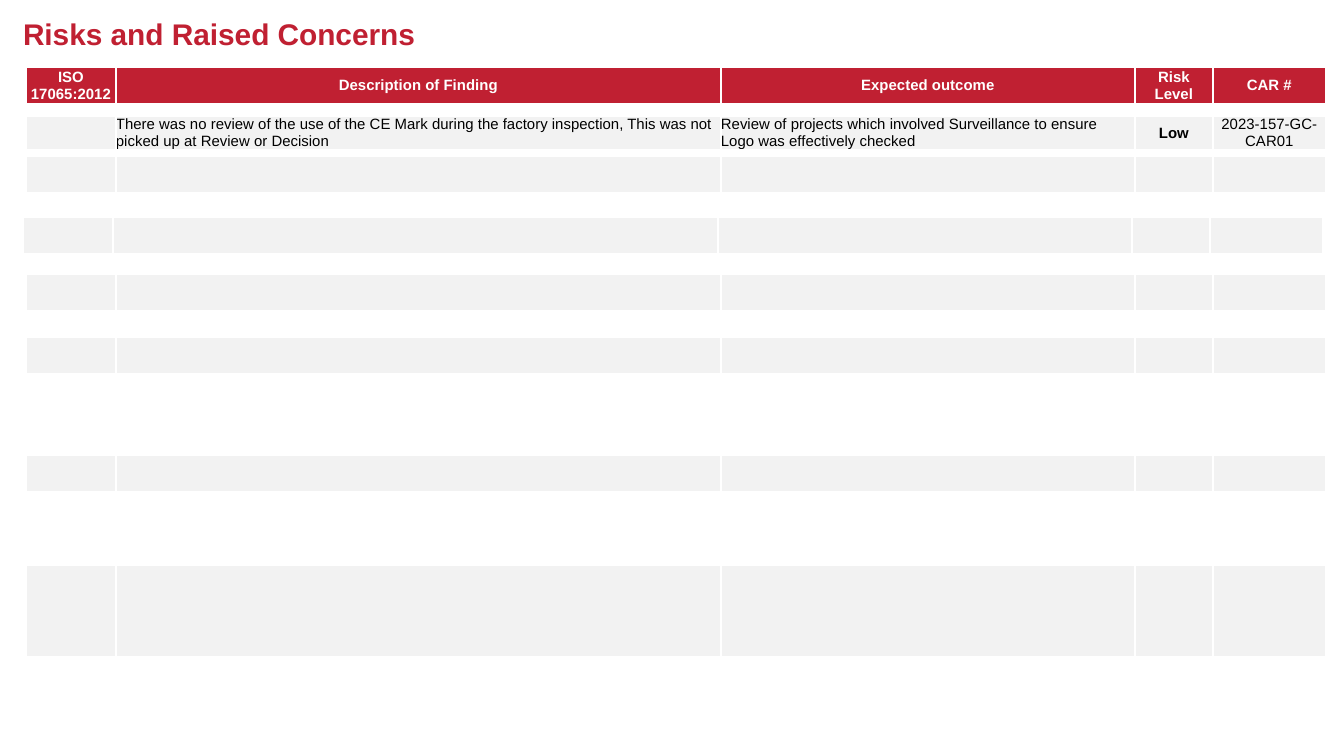
"""Build the risks and raised concerns slide with its stacked finding tables."""
from dataclasses import dataclass

from lxml.etree import SubElement
from pptx import Presentation
from pptx.dml.color import RGBColor
from pptx.enum.text import MSO_ANCHOR as Anchor, MSO_AUTO_SIZE as AutoSize, PP_ALIGN as Align
from pptx.oxml.ns import qn
from pptx.util import Emu, Pt

SCALE = 914400 * 10 / 1344


@dataclass(frozen=True)
class Theme:
    font: str = "Arial"
    red: str = "C02032"
    gray: str = "F2F2F2"
    white: str = "FFFFFF"
    black: str = "000000"
    title_size: int = 16
    body_size: int = 8
    border: int = 1


@dataclass(frozen=True)
class Entry:
    text: str = ""
    bold: bool = False
    align: Align = Align.CENTER


@dataclass(frozen=True)
class Band:
    top: int
    height: int = 37
    left: int = 26
    fill: str = Theme.gray
    color: str = Theme.black
    entries: tuple[Entry, ...] = (Entry(),) * 5


THEME = Theme()
COLUMNS = (90, 605, 414, 78, 113)
HEADINGS = ("ISO 17065:2012", "Description of Finding", "Expected outcome", "Risk\nLevel", "CAR #")
FINDING = (
    Entry(),
    Entry("There was no review of the use of the CE Mark during the factory inspection, "
          "This was not picked up at Review or Decision", align=Align.LEFT),
    Entry("Review of projects which involved Surveillance to ensure Logo was effectively checked",
          align=Align.LEFT),
    Entry("Low", bold=True),
    Entry("2023-157-GC-CAR01"),
)
BANDS = (
    Band(67, fill=THEME.red, color=THEME.white,
         entries=tuple(Entry(heading, bold=True) for heading in HEADINGS)),
    Band(116, height=34, entries=FINDING),
    Band(156),
    Band(217, left=23),
    Band(274),
    Band(337),
    Band(455),
    Band(565, height=92),
)


def px(length: int) -> Emu:
    """Turn pixels into EMU."""
    return Emu(round(length * SCALE))


def write(frame, text: str, *, size: int, color: str, bold: bool = False,
          align: Align = Align.LEFT) -> None:
    """Fill a text frame, one paragraph a line."""
    for index, line in enumerate(text.split("\n")):
        paragraph = frame.paragraphs[0] if index == 0 else frame.add_paragraph()
        paragraph.alignment = align
        if not line:
            SubElement(paragraph._p, qn("a:endParaRPr"), sz=str(size * 100))
            continue
        run = paragraph.add_run()
        run.text = line
        run.font.name = THEME.font
        run.font.size = Pt(size)
        run.font.bold = bold
        run.font.color.rgb = RGBColor.from_string(color)


def add_side_borders(cell) -> None:
    """Give a cell white left and right borders."""
    properties = cell._tc.get_or_add_tcPr()
    for side in ("a:lnL", "a:lnR"):
        line = SubElement(properties, qn(side), w=str(Pt(THEME.border)))
        SubElement(SubElement(line, qn("a:solidFill")), qn("a:srgbClr"), val=THEME.white)


def add_band(slide, band: Band) -> None:
    """Draw one single-row table."""
    table = slide.shapes.add_table(1, len(COLUMNS), px(band.left), px(band.top),
                                   px(sum(COLUMNS)), px(band.height)).table
    table.first_row = table.horz_banding = False
    for column, width in zip(table.columns, COLUMNS):
        column.width = px(width)
    for cell, entry in zip(table.rows[0].cells, band.entries):
        cell.margin_left = cell.margin_right = cell.margin_top = cell.margin_bottom = 0
        cell.vertical_anchor = Anchor.MIDDLE
        add_side_borders(cell)
        cell.fill.solid()
        cell.fill.fore_color.rgb = RGBColor.from_string(band.fill)
        write(cell.text_frame, entry.text, size=THEME.body_size, color=band.color,
              bold=entry.bold, align=entry.align)


def add_title(slide, text: str) -> None:
    """Place and format the title placeholder."""
    title = slide.shapes.title
    title.left, title.top, title.width, title.height = map(px, (23, 16, 1255, 36))
    frame = title.text_frame
    frame.margin_left = frame.margin_right = frame.margin_top = frame.margin_bottom = 0
    frame.vertical_anchor = Anchor.TOP
    frame.word_wrap = True
    frame.auto_size = AutoSize.NONE
    write(frame, text, size=THEME.title_size, color=THEME.red, bold=True)


def main() -> None:
    """Build and save the presentation."""
    deck = Presentation()
    deck.slide_width, deck.slide_height = px(1344), px(756)
    slide = deck.slides.add_slide(deck.slide_layouts[5])
    add_title(slide, "Risks and Raised Concerns")
    for band in BANDS:
        add_band(slide, band)
    deck.save("out.pptx")


if __name__ == "__main__":
    main()
